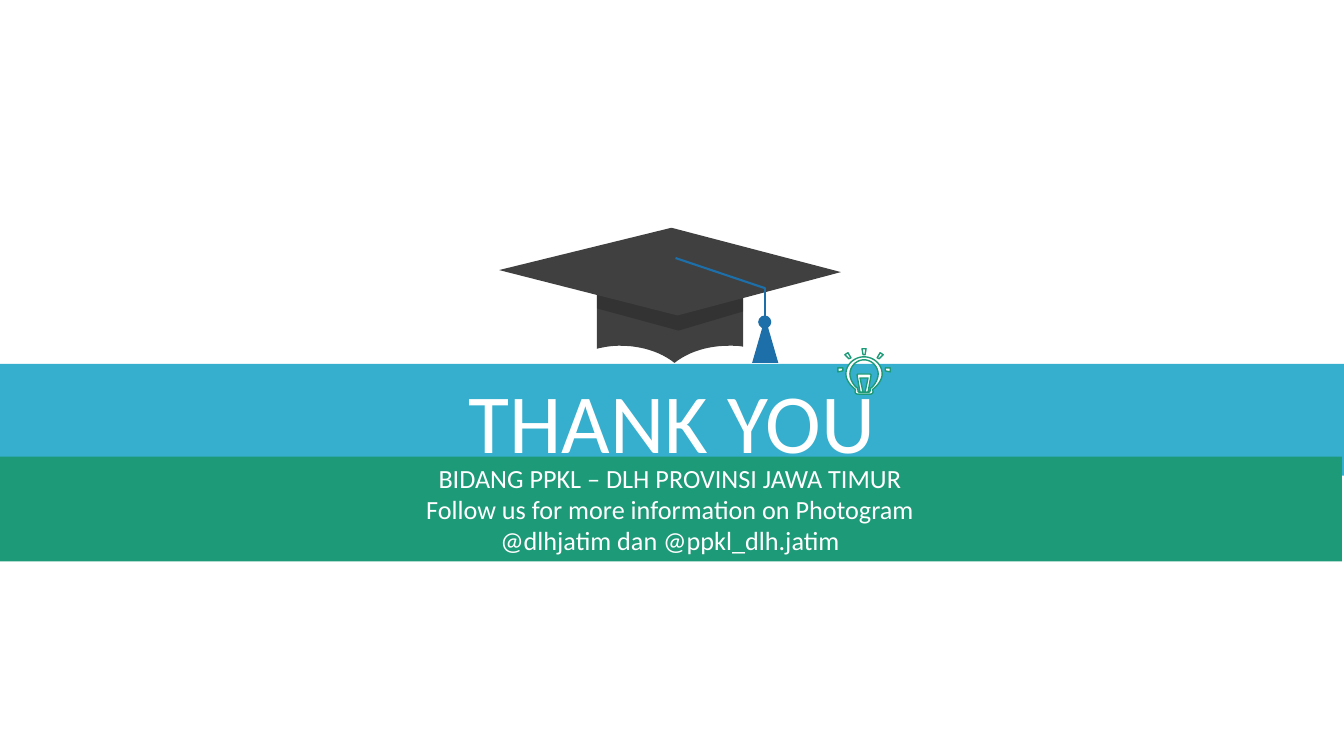
"""Builds the closing thank-you slide with a graduation cap and a light bulb."""
from dataclasses import dataclass

from lxml import etree
from pptx import Presentation
from pptx.dml.color import RGBColor
from pptx.enum.shapes import MSO_CONNECTOR, MSO_SHAPE
from pptx.enum.text import MSO_ANCHOR, PP_ALIGN
from pptx.oxml.ns import qn
from pptx.util import Inches, Pt

RECTANGLE, TRIANGLE, OVAL = MSO_SHAPE.RECTANGLE, MSO_SHAPE.ISOSCELES_TRIANGLE, MSO_SHAPE.OVAL
STRAIGHT = MSO_CONNECTOR.STRAIGHT
MIDDLE, CENTER = MSO_ANCHOR.MIDDLE, PP_ALIGN.CENTER
TITLE_ONLY = 5
CURVE_STEPS = 12
BULB_AXIS = 8.57


@dataclass(frozen=True)
class Theme:
    font: str = "Calibri"
    title_size: float = 60
    contact_size: float = 18.7
    white: str = "FFFFFF"
    black: str = "000000"
    sky: str = "36AFCE"
    green: str = "1D9A78"
    cap: str = "404040"
    tassel: str = "1D6FA9"
    cord_width: float = 1.5
    outline_width: float = 1


def trace(steps):
    points = [steps[0]]
    for step in steps[1:]:
        if len(step) == 2:
            points.append(step)
            continue
        x0, y0 = points[-1]
        x1, y1, x2, y2, x3, y3 = step
        for i in range(1, CURVE_STEPS + 1):
            t = i / CURVE_STEPS
            u = 1 - t
            a, b, c, d = u ** 3, 3 * u * u * t, 3 * u * t * t, t ** 3
            points.append((a * x0 + b * x1 + c * x2 + d * x3,
                           a * y0 + b * y1 + c * y2 + d * y3))
    return points


def mirror(points):
    return [(2 * BULB_AXIS - x, y) for x, y in reversed(points)]


def symmetric(right_half):
    points = trace(right_half)
    return points + mirror(points)


class SlideBuilder:
    def __init__(self, slide, theme):
        self.slide = slide
        self.theme = theme
        self.shapes = slide.shapes

    def start_group(self):
        self.shapes = self.slide.shapes.add_group_shape().shapes

    def paint(self, shape, fill, outline=None, opacity=None):
        shape.fill.solid()
        shape.fill.fore_color.rgb = RGBColor.from_string(fill)
        if opacity is not None:
            color = shape._element.spPr.find(f".//{qn('a:srgbClr')}")
            etree.SubElement(color, qn("a:alpha")).set("val", str(opacity * 1000))
        if outline:
            shape.line.color.rgb = RGBColor.from_string(outline)
            shape.line.width = Pt(self.theme.outline_width)
        else:
            shape.line.fill.background()

    def set_text(self, shape, lines, size):
        frame = shape.text_frame
        frame.text = "\n".join(lines)
        frame.word_wrap = True
        frame.vertical_anchor = MIDDLE
        for paragraph in frame.paragraphs:
            paragraph.alignment = CENTER
            paragraph.line_spacing = 1.0
            paragraph.space_before = Pt(0)
            paragraph.font.name = self.theme.font
            paragraph.font.size = Pt(size)
            paragraph.font.color.rgb = RGBColor.from_string(self.theme.white)

    def title(self, text, left, top, width, height, fill):
        banner = self.slide.shapes.title
        banner.left, banner.top = Inches(left), Inches(top)
        banner.width, banner.height = Inches(width), Inches(height)
        self.paint(banner, fill)
        self.set_text(banner, [text], self.theme.title_size)

    def preset(self, kind, left, top, width, height, fill):
        shape = self.shapes.add_shape(kind, Inches(left), Inches(top),
                                      Inches(width), Inches(height))
        shape.shadow.inherit = False
        self.paint(shape, fill)
        return shape

    def outline(self, contours, fill, outline=None, opacity=None):
        scaled = [[(Inches(x), Inches(y)) for x, y in contour] for contour in contours]
        first, *others = scaled
        builder = self.shapes.build_freeform(*first[0])
        builder.add_line_segments(first[1:], close=True)
        for contour in others:
            builder.move_to(*contour[0])
            builder.add_line_segments(contour[1:], close=True)
        shape = builder.convert_to_shape()
        shape.shadow.inherit = False
        self.paint(shape, fill, outline, opacity)

    def cord(self, start, end):
        line = self.shapes.add_connector(STRAIGHT, *map(Inches, start + end))
        line.line.color.rgb = RGBColor.from_string(self.theme.tassel)
        line.line.width = Pt(self.theme.cord_width)
        etree.SubElement(line._element.spPr, qn("a:effectLst"))


def draw_cap(page):
    theme = page.theme
    crown = [(5.92, 2.62), (7.37, 2.62), (7.37, 3.44),
             (7.33, 3.43, 7.28, 3.43, 7.23, 3.43),
             (7.02, 3.43, 6.83, 3.49, 6.69, 3.6),
             (6.55, 3.49, 6.36, 3.43, 6.15, 3.43),
             (6.07, 3.43, 6, 3.44, 5.92, 3.46)]
    shade = [(5.92, 2.81), (7.37, 2.81), (7.37, 3.09), (6.73, 3.28), (5.92, 3.06)]
    board = [(6.66, 2.26), (4.95, 2.68), (6.72, 3.13), (8.34, 2.7)]
    page.start_group()
    page.outline([trace(crown)], theme.cap)
    page.outline([shade], theme.black, opacity=20)
    page.outline([board], theme.cap)
    cord_bend = (7.59, 2.86)
    page.cord((6.7, 2.56), cord_bend)
    page.cord(cord_bend, (7.59, 3.35))
    page.preset(TRIANGLE, 7.46, 3.15, 0.26, 0.45, theme.tassel)
    page.preset(OVAL, 7.52, 3.13, 0.13, 0.13, theme.tassel)


def draw_bulb(page):
    theme = page.theme
    side_ray = [(8.83, 3.65), (8.83, 3.69), (8.78, 3.68), (8.78, 3.65)]
    slanted_ray = [(8.73, 3.5), (8.76, 3.52), (8.72, 3.56), (8.7, 3.55)]
    top_ray = [(8.55, 3.46), (8.59, 3.46), (8.58, 3.52), (8.56, 3.52)]
    rays = [side_ray, mirror(side_ray), slanted_ray, mirror(slanted_ray), top_ray]
    glass_inside = [(BULB_AXIS, 3.57), (8.65, 3.57, 8.71, 3.64, 8.71, 3.71),
                    (8.71, 3.76, 8.68, 3.81, 8.65, 3.84),
                    (8.63, 3.85, 8.64, 3.85, 8.63, 3.87),
                    (8.63, 3.88, 8.63, 3.89, 8.62, 3.89)]
    glass_outside = [(BULB_AXIS, 3.54), (8.67, 3.54, 8.75, 3.62, 8.75, 3.71),
                     (8.75, 3.77, 8.7, 3.83, 8.66, 3.86),
                     (8.65, 3.87, 8.66, 3.88, 8.66, 3.89),
                     (8.65, 3.91, 8.64, 3.91, 8.63, 3.91)]
    filament = [(BULB_AXIS, 3.71), (8.63, 3.71), (8.64, 3.72), (8.61, 3.89),
                (8.58, 3.89), (8.61, 3.75), (BULB_AXIS, 3.75)]
    page.start_group()
    for contours in (rays, [mirror(symmetric(glass_inside)), symmetric(glass_outside)],
                     [symmetric(filament)]):
        page.outline(contours, theme.white, outline=theme.green)


def main():
    deck = Presentation()
    deck.slide_width, deck.slide_height = Inches(13.33), Inches(7.5)
    theme = Theme()
    page = SlideBuilder(deck.slides.add_slide(deck.slide_layouts[TITLE_ONLY]), theme)
    page.title("THANK YOU", 0, 3.61, 13.33, 1.11, theme.sky)
    contact_band = page.preset(RECTANGLE, -0.02, 4.53, 13.33, 1.04, theme.green)
    page.set_text(contact_band, ["BIDANG PPKL – DLH PROVINSI JAWA TIMUR",
                                 "Follow us for more information on Photogram",
                                 "@dlhjatim dan @ppkl_dlh.jatim"], theme.contact_size)
    draw_cap(page)
    draw_bulb(page)
    deck.save("out.pptx")


if __name__ == "__main__":
    main()
